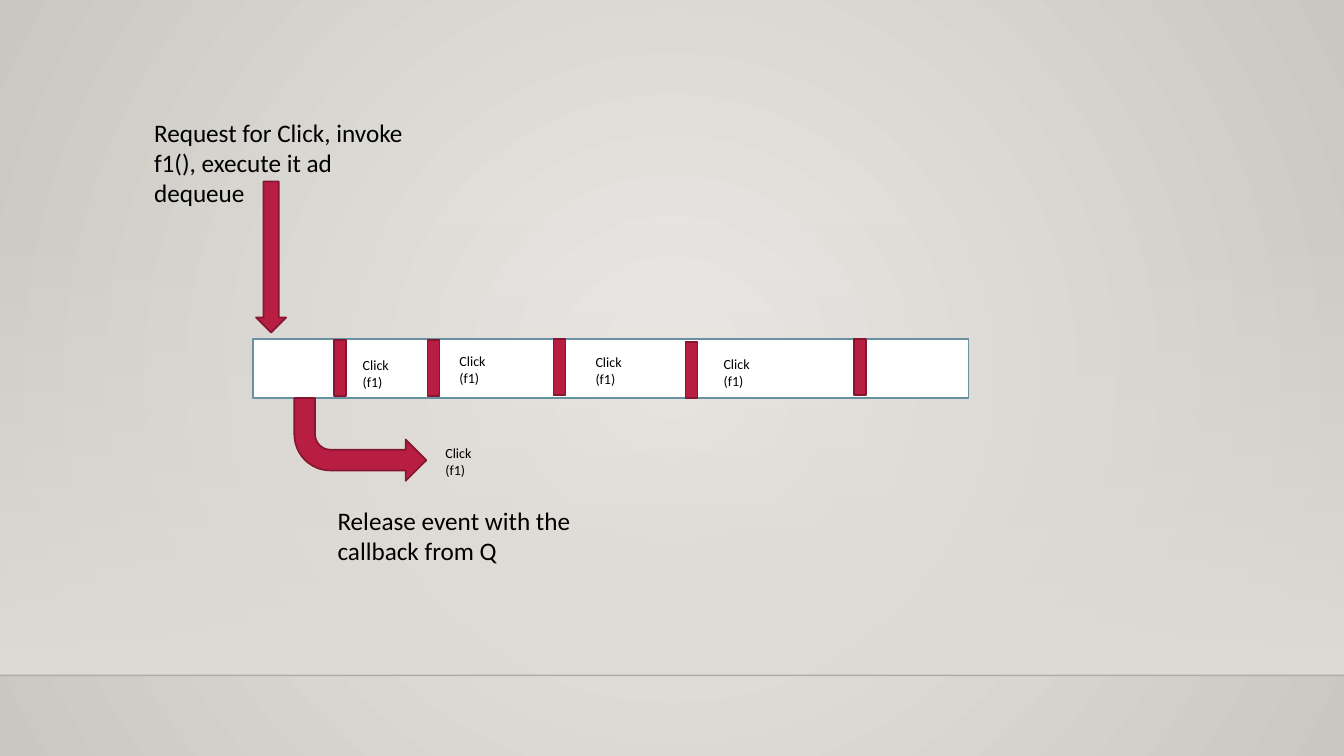
from dataclasses import dataclass

from lxml.etree import SubElement
from pptx import Presentation
from pptx.dml.color import RGBColor
from pptx.enum.shapes import MSO_CONNECTOR as Connector, MSO_SHAPE as Preset
from pptx.oxml.ns import qn
from pptx.util import Pt


@dataclass(frozen=True)
class Theme:
    font: str = "Calibri"
    note_size: float = 18
    event_size: float = 10
    border: float = 1.25
    text: str = "000000"
    glow: str = "ECEAE7"
    edge: str = "CAC7C1"
    floor: str = "DFDBD5"
    horizon: str = "000001"
    queue: str = "FFFFFF"
    queue_line: str = "6892A0"
    accent: str = "B71E42"
    accent_line: str = "871631"


@dataclass(frozen=True)
class Box:
    left: float
    top: float
    width: float
    height: float

    def lengths(self) -> tuple:
        return Pt(self.left), Pt(self.top), Pt(self.width), Pt(self.height)


@dataclass(frozen=True)
class Label:
    text: str
    box: Box
    size: float


THEME = Theme()
WIDTH, HEIGHT = 960, 540
HORIZON_TOP = 482.4
EVENT = "Click (f1)"

QUEUE = Box(180.72, 241.92, 511.2, 42.48)
DIVIDER_WIDTH, DIVIDER_HEIGHT = 8.64, 40.32
DIVIDERS = [(238.32, 242.64), (305.28, 242.64), (395.28, 241.92),
            (489.6, 244.08), (609.84, 241.92)]
EVENTS = [(311.04, 313.92), (252, 251.28), (321.12, 248.4),
          (418.32, 249.12), (509.76, 250.56)]
REQUEST_ARROW = Box(182.88, 129.6, 21.6, 108)
RELEASE_ARROW = Box(210.24, 284.4, 94.32, 59.04)
LABELS = [
    *(Label(EVENT, Box(left, top, 46.8, 31.68), THEME.event_size) for left, top in EVENTS),
    Label("Request for Click, invoke f1(), execute it ad dequeue",
          Box(102.96, 79.92, 195.84, 72.72), THEME.note_size),
    Label("Release event with the callback from Q",
          Box(234, 357.12, 208.08, 51.12), THEME.note_size),
]


def rgb(color: str) -> RGBColor:
    return RGBColor.from_string(color)


def set_alpha(color_element, percent: int) -> None:
    SubElement(color_element, qn("a:alpha")).set("val", str(percent * 1000))


def set_gradient(fill, start: str, end: str) -> None:
    fill.gradient()
    for stop, color, position in zip(fill.gradient_stops, (start, end), (0, 1)):
        stop.color.rgb = rgb(color)
        stop.position = position


def add_background(slide) -> None:
    set_gradient(slide.background.fill, THEME.glow, THEME.edge)
    # Turn the linear gradient into a circular one around the centre
    gradient = next(slide.element.iter(qn("a:gradFill")))
    gradient.remove(gradient.find(qn("a:lin")))
    circle = SubElement(gradient, qn("a:path"))
    circle.set("path", "circle")
    centre = SubElement(circle, qn("a:fillToRect"))
    for side in "ltrb":
        centre.set(side, "50000")


def add_floor(slide) -> None:
    floor = slide.shapes.add_shape(Preset.RECTANGLE, *Box(0, 159.12, WIDTH, 323.28).lengths())
    floor.shadow.inherit = False
    floor.line.fill.background()
    set_gradient(floor.fill, THEME.floor, THEME.floor)
    floor.fill.gradient_angle = 270
    set_alpha(next(floor.element.spPr.iter(qn("a:srgbClr"))), 0)

    horizon = slide.shapes.add_connector(
        Connector.STRAIGHT, Pt(0), Pt(HORIZON_TOP), Pt(WIDTH), Pt(HORIZON_TOP))
    horizon.line.width = Pt(1)
    horizon.line.color.rgb = rgb(THEME.horizon)
    properties = horizon.element.spPr
    set_alpha(next(properties.iter(qn("a:srgbClr"))), 20)
    SubElement(properties, qn("a:effectLst"))


def add_block(slide, preset: Preset, box: Box,
              fill: str = THEME.accent, line: str = THEME.accent_line):
    shape = slide.shapes.add_shape(preset, *box.lengths())
    shape.shadow.inherit = False
    shape.fill.solid()
    shape.fill.fore_color.rgb = rgb(fill)
    shape.line.color.rgb = rgb(line)
    shape.line.width = Pt(THEME.border)
    return shape


def add_label(slide, label: Label) -> None:
    text_frame = slide.shapes.add_textbox(*label.box.lengths()).text_frame
    text_frame.word_wrap = True
    text_frame.text = label.text
    font = text_frame.paragraphs[0].runs[0].font
    font.name = THEME.font
    font.size = Pt(label.size)
    font.color.rgb = rgb(THEME.text)


presentation = Presentation()
presentation.slide_width, presentation.slide_height = Pt(WIDTH), Pt(HEIGHT)
slide = presentation.slides.add_slide(presentation.slide_layouts[6])

# Backdrop
add_background(slide)
add_floor(slide)

# Event queue and its dividers
add_block(slide, Preset.RECTANGLE, QUEUE, THEME.queue, THEME.queue_line)
for left, top in DIVIDERS:
    add_block(slide, Preset.RECTANGLE, Box(left, top, DIVIDER_WIDTH, DIVIDER_HEIGHT))

# Arrows into and out of the queue
add_block(slide, Preset.DOWN_ARROW, REQUEST_ARROW)
release_arrow = add_block(slide, Preset.BENT_ARROW, RELEASE_ARROW)
release_arrow.element.spPr.find(qn("a:xfrm")).set("flipV", "1")

# Events and notes
for label in LABELS:
    add_label(slide, label)

presentation.save("out.pptx")
